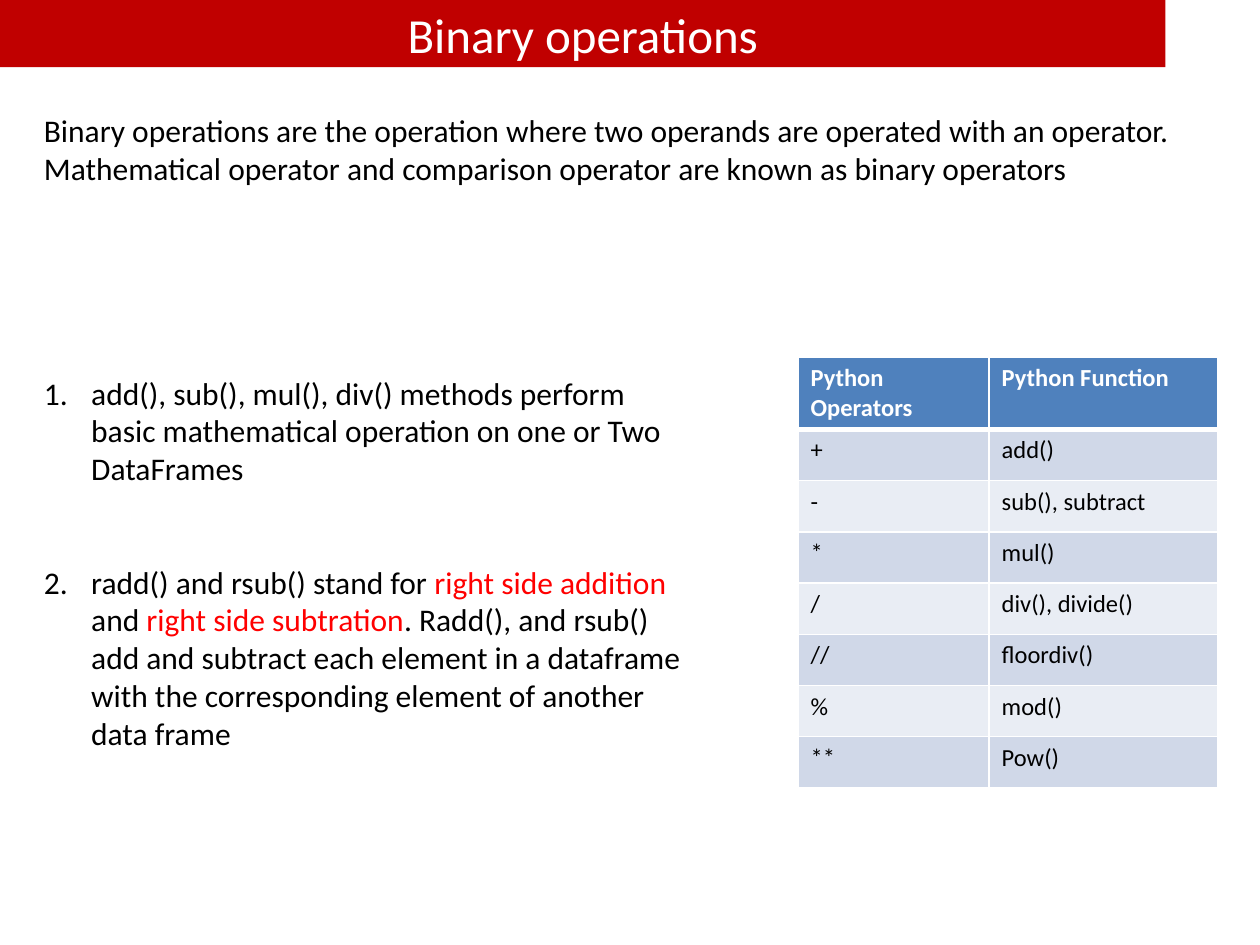
from lxml import etree
from pptx import Presentation
from pptx.dml import color
from pptx.enum import shapes, text
from pptx.oxml import ns
from pptx.util import Pt

FONT = "Calibri"
WHITE, BLACK, RED = "FFFFFF", "000000", "FF0000"
TITLE = "Binary operations"
INTRO = [[(
    "Binary operations are the operation where two operands are operated "
    "with an operator. Mathematical operator and comparison operator are "
    "known as binary operators", BLACK)]]
POINTS = [
    [("add(), sub(), mul(), div() methods perform basic mathematical "
      "operation on one or Two DataFrames", BLACK)],
    [("radd() and rsub() stand for ", BLACK),
     ("right side addition ", RED),
     ("and ", BLACK),
     ("right side subtration", RED),
     (". Radd(), and rsub() add and subtract each element in a dataframe "
      "with the corresponding element of another data frame", BLACK)],
]
ROWS = [
    ("Python Operators", "Python Function"),
    ("+", "add()"),
    ("-", "sub(), subtract"),
    ("*", "mul()"),
    ("/", "div(), divide()"),
    ("//", "floordiv()"),
    ("%", "mod()"),
    ("**", "Pow()"),
]
HEAD, BANDS = "4F81BD", ("E9EDF4", "D0D8E8")
COLS = (109.2, 130.6)
HEAD_H, ROW_H = 40.3, 29.3


def rgb(code):
    return color.RGBColor.from_string(code)


def style(run, size, code, bold=False):
    run.font.name = FONT
    run.font.size = Pt(size)
    run.font.bold = bold
    run.font.color.rgb = rgb(code)


def add_bar(slide):
    bar = slide.shapes.add_shape(
        shapes.MSO_SHAPE.RECTANGLE, 0, 0, Pt(666), Pt(38.4))
    bar.shadow.inherit = False
    bar.fill.solid()
    bar.fill.fore_color.rgb = rgb("C00000")
    bar.line.fill.background()
    frame = bar.text_frame
    frame.text = TITLE
    frame.vertical_anchor = text.MSO_ANCHOR.MIDDLE
    para = frame.paragraphs[0]
    para.alignment = text.PP_ALIGN.CENTER
    style(para.runs[0], 28, WHITE)


def number(para):
    props = para._p.get_or_add_pPr()
    props.set("marL", str(Pt(27)))
    props.set("indent", str(-Pt(27)))
    etree.SubElement(props, ns.qn("a:buFont"), typeface="+mj-lt")
    etree.SubElement(props, ns.qn("a:buAutoNum"), type="arabicPeriod")


def add_text(slide, box, paras, listed=False):
    frame = slide.shapes.add_textbox(*map(Pt, box)).text_frame
    frame.word_wrap = True
    frame.auto_size = text.MSO_AUTO_SIZE.SHAPE_TO_FIT_TEXT
    for i, parts in enumerate(paras):
        para = frame.add_paragraph() if i else frame.paragraphs[0]
        if i:
            para.space_before = Pt(43.2)
        if listed:
            number(para)
        for words, code in parts:
            run = para.add_run()
            run.text = words
            style(run, 18, code)


def edge(cell, side, width):
    props = cell._tc.get_or_add_tcPr()
    line = etree.SubElement(props, ns.qn("a:ln" + side), w=str(Pt(width)))
    fill = etree.SubElement(line, ns.qn("a:solidFill"))
    etree.SubElement(fill, ns.qn("a:srgbClr"), val=WHITE)


def add_grid(slide):
    high = HEAD_H + ROW_H * (len(ROWS) - 1)
    grid = slide.shapes.add_table(
        len(ROWS), len(COLS), Pt(456), Pt(204),
        Pt(sum(COLS)), Pt(high)).table
    for col, wide in zip(grid.columns, COLS):
        col.width = Pt(wide)
    for r, row in enumerate(ROWS):
        top = r == 0
        grid.rows[r].height = Pt(HEAD_H if top else ROW_H)
        for c, words in enumerate(row):
            cell = grid.cell(r, c)
            for side in "LRTB":
                thick = (r, side) in ((0, "B"), (1, "T"))
                edge(cell, side, 3 if thick else 1)
            cell.fill.solid()
            cell.fill.fore_color.rgb = rgb(HEAD if top else BANDS[r % 2])
            para = cell.text_frame.paragraphs[0]
            para.text = words
            style(para.runs[0], 14, WHITE if top else BLACK, top)


def main():
    deck = Presentation()
    deck.slide_width, deck.slide_height = Pt(720), Pt(540)
    slide = deck.slides.add_slide(deck.slide_layouts[6])
    add_bar(slide)
    add_grid(slide)
    add_text(slide, (18, 210, 378, 225.4), POINTS, True)
    add_text(slide, (18, 60, 684, 50.9), INTRO)
    deck.save("out.pptx")


if __name__ == "__main__":
    main()
